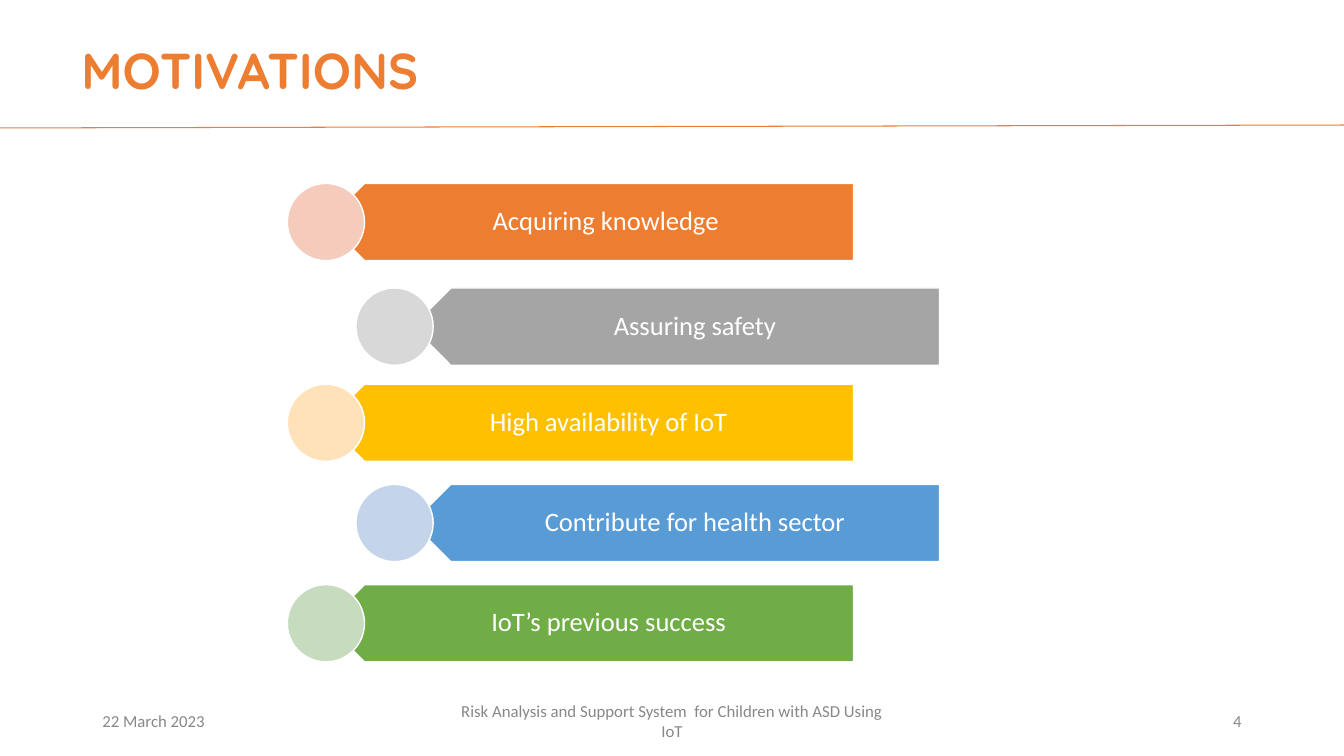
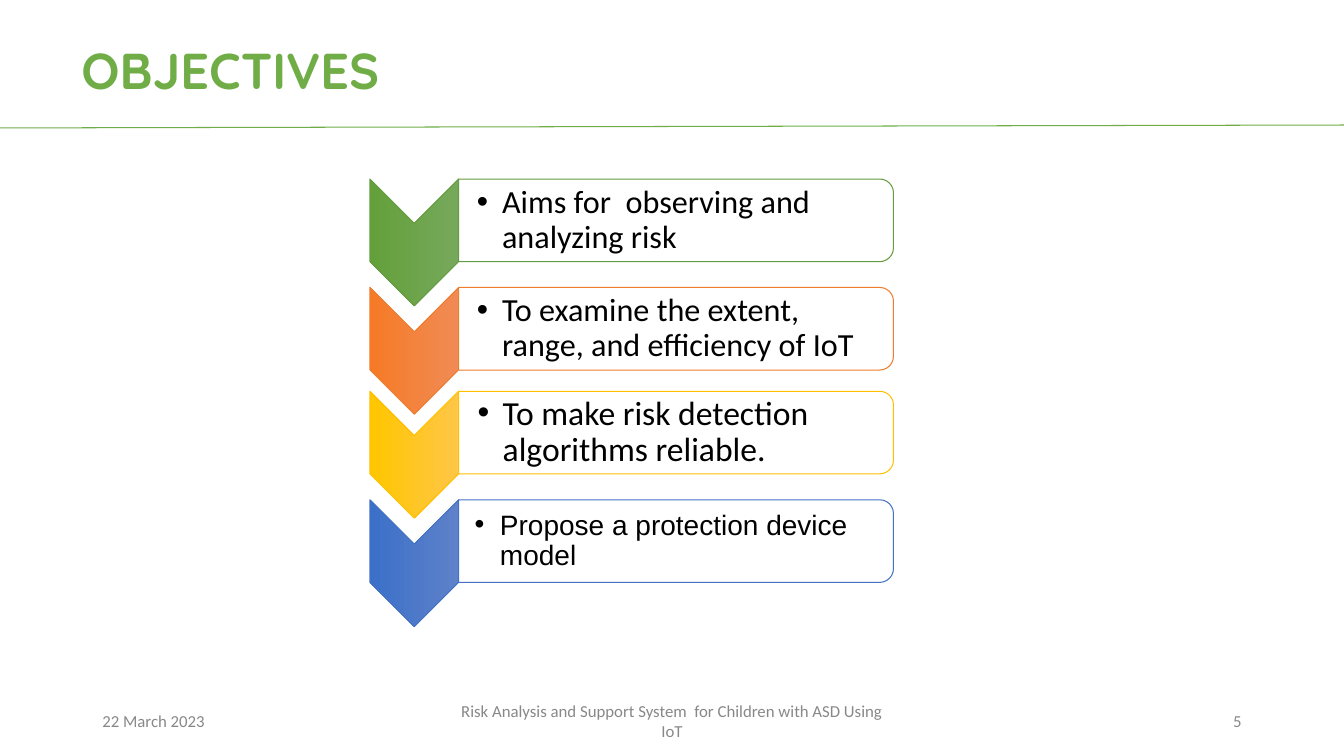
from dataclasses import dataclass

from lxml.etree import SubElement
from pptx import Presentation
from pptx.dml.color import RGBColor as RGB
from pptx.enum.shapes import MSO_CONNECTOR as CONNECTOR, MSO_SHAPE as SHAPE
from pptx.enum.text import MSO_ANCHOR as ANCHOR, PP_ALIGN as ALIGN
from pptx.oxml.ns import qn
from pptx.util import Pt


@dataclass(frozen=True)
class Theme:
    # Colours
    orange: str = "ED7D31"
    gray: str = "A5A5A5"
    gold: str = "FFC000"
    sky: str = "599BD5"
    green: str = "70AD47"
    leaf: str = "659C40"
    blue: str = "4372C3"
    white: str = "FFFFFF"
    black: str = "000000"
    muted: str = "888888"
    # Fonts and sizes
    body_font: str = "Calibri"
    title_font: str = "Quicksand"
    plain_font: str = "Arial"
    title_size: int = 36
    bar_size: int = 19
    footer_size: int = 12


THEME = Theme()
SLIDE_W, SLIDE_H = 960, 540
DATE = "22 March 2023"
PROJECT = "Risk Analysis and Support System  for Children with ASD Using IoT"

# Left edges of the bar and of its circle, for odd and even rows
BAR_LEFTS, CIRCLE_LEFTS = (232.8, 294.4), (205.2, 254.2)
BAR_W, BAR_H = 376.8, 55.2
# text, top, bar colour, circle colour
MOTIVATIONS = [
    ("Acquiring knowledge ", 131, THEME.orange, "F5CBBC"),
    ("Assuring safety", 205.7, THEME.gray, "D8D8D8"),
    ("High availability of IoT", 274.4, THEME.gold, "FFE2BA"),
    ("Contribute for health sector", 346, THEME.sky, "C3D4EB"),
    ("IoT’s previous success", 417.6, THEME.green, "C7DBBF"),
]

CHEVRON_LEFT, CHEVRON_W, CHEVRON_H = 264.2, 63.4, 90.6
PANEL_LEFT, PANEL_W, PANEL_H = 327.6, 310.6, 59
# text, top, line colour, gradient from right to left, size, font, left inset
OBJECTIVES = [
    ("Aims for  observing and analyzing risk", 127.9, THEME.leaf,
     ("76A85B", "63A03A"), 23, THEME.body_font, 13),
    ("To examine the extent, range, and efficiency of IoT", 205.3, THEME.orange,
     ("F08B54", "F67A26"), 23, THEME.body_font, 13),
    ("To make risk detection algorithms reliable.", 279.5, THEME.gold,
     ("FFC647", "FFC600"), 24, THEME.body_font, 13.5),
    ("Propose a protection device model", 357, THEME.blue,
     ("5E81C9", "3B70C9"), 20, THEME.plain_font, 11.5),
]


def rgb(code):
    return RGB.from_string(code)


def write(frame, text, *, size, color, font=THEME.body_font, bold=False,
          align=ALIGN.LEFT, anchor=ANCHOR.MIDDLE, insets=(7.2, 3.6, 7.2, 3.6),
          spacing=None, bullet=False):
    """Fill a text frame with one formatted paragraph."""
    frame.word_wrap = True
    frame.vertical_anchor = anchor
    (frame.margin_left, frame.margin_top,
     frame.margin_right, frame.margin_bottom) = map(Pt, insets)
    paragraph = frame.paragraphs[0]
    paragraph.alignment = align
    paragraph.line_spacing = spacing
    if bullet:
        props = paragraph._p.get_or_add_pPr()
        props.set("marL", str(Pt(18)))
        props.set("indent", str(-Pt(18)))
        SubElement(props, qn("a:buFont"), typeface="Arial")
        SubElement(props, qn("a:buChar"), char="•")
    run = paragraph.add_run()
    run.text = text
    run.font.name, run.font.size, run.font.bold = font, Pt(size), bold
    run.font.color.rgb = rgb(color)


def add_label(slide, text, left, top, width, height, **style):
    label = slide.shapes.add_textbox(Pt(left), Pt(top), Pt(width), Pt(height))
    write(label.text_frame, text, **style)


def paint(shape, fill, line, weight):
    """Give a shape its outline and a flat fill or a two-colour gradient."""
    shape.shadow.inherit = False
    if isinstance(fill, str):
        shape.fill.solid()
        shape.fill.fore_color.rgb = rgb(fill)
    else:
        shape.fill.gradient()
        shape.fill.gradient_angle = 270
        for stop, color in zip(shape.fill.gradient_stops, fill):
            stop.color.rgb = rgb(color)
    shape.line.color.rgb = rgb(line)
    shape.line.width = Pt(weight)


def add_turned(slide, kind, left, top, width, height):
    """Add a shape turned a quarter clockwise that shows in the given box."""
    shape = slide.shapes.add_shape(
        kind, Pt(left + (width - height) / 2), Pt(top + (height - width) / 2),
        Pt(height), Pt(width))
    shape.rotation = 90
    return shape


def add_page(deck, title, color, number):
    """Add a slide with the shared title, rule and footer."""
    slide = deck.slides.add_slide(deck.slide_layouts[6])
    add_label(slide, title, 51, 24.5, 796, 50.4, size=THEME.title_size, color=color,
              font=THEME.title_font, bold=True, anchor=ANCHOR.TOP)
    # Rule under the title
    rule = slide.shapes.add_connector(
        CONNECTOR.STRAIGHT, Pt(0), Pt(91.4), Pt(SLIDE_W), Pt(89.3))
    rule.line.color.rgb = rgb(color)
    rule.line.width = Pt(0.75)
    SubElement(rule._element.spPr, qn("a:effectLst"))
    # Footer
    for text, left, width, align in (
            (DATE, 66, 216, ALIGN.LEFT),
            (PROJECT, 318, 324, ALIGN.CENTER),
            (str(number), 678, 216, ALIGN.RIGHT)):
        add_label(slide, text, left, 500.5, width, 28.8, align=align,
                  size=THEME.footer_size, color=THEME.muted)
    return slide


def add_motivation(slide, text, top, left, circle_left, color, tint):
    # Bar pointing left
    right, bottom, tip = left + BAR_W, top + BAR_H, BAR_H / 2
    outline = slide.shapes.build_freeform(Pt(right), Pt(bottom))
    corners = [(left + tip, bottom), (left, top + tip), (left + tip, top), (right, top)]
    outline.add_line_segments([(Pt(x), Pt(y)) for x, y in corners])
    bar = outline.convert_to_shape()
    paint(bar, color, THEME.white, 1)
    write(bar.text_frame, text, size=THEME.bar_size, color=THEME.white,
          align=ALIGN.CENTER, insets=(38, 6, 11, 6), spacing=0.9)
    # Circle over the tip
    circle = slide.shapes.add_shape(
        SHAPE.OVAL, Pt(circle_left), Pt(top), Pt(BAR_H), Pt(BAR_H))
    paint(circle, tint, THEME.white, 1)


def add_objective(slide, text, top, color, gradient, size, font, inset):
    chevron = add_turned(slide, SHAPE.CHEVRON, CHEVRON_LEFT, top, CHEVRON_W, CHEVRON_H)
    paint(chevron, gradient, color, 0.75)
    panel = add_turned(slide, SHAPE.ROUND_2_SAME_RECTANGLE,
                       PANEL_LEFT, top, PANEL_W, PANEL_H)
    paint(panel, THEME.white, color, 0.75)
    add_label(slide, text, PANEL_LEFT, top + 3, PANEL_W - 3, PANEL_H - 6,
              size=size, color=THEME.black, font=font, spacing=0.9, bullet=True,
              insets=(inset, 1, 1, 1))


def main():
    deck = Presentation()
    deck.slide_width, deck.slide_height = Pt(SLIDE_W), Pt(SLIDE_H)

    motivations = add_page(deck, "MOTIVATIONS", THEME.orange, 4)
    for row, (text, top, color, tint) in enumerate(MOTIVATIONS):
        side = row % 2
        add_motivation(motivations, text, top, BAR_LEFTS[side], CIRCLE_LEFTS[side],
                       color, tint)

    objectives = add_page(deck, "OBJECTIVES", THEME.green, 5)
    for objective in OBJECTIVES:
        add_objective(objectives, *objective)

    deck.save("out.pptx")


if __name__ == "__main__":
    main()
